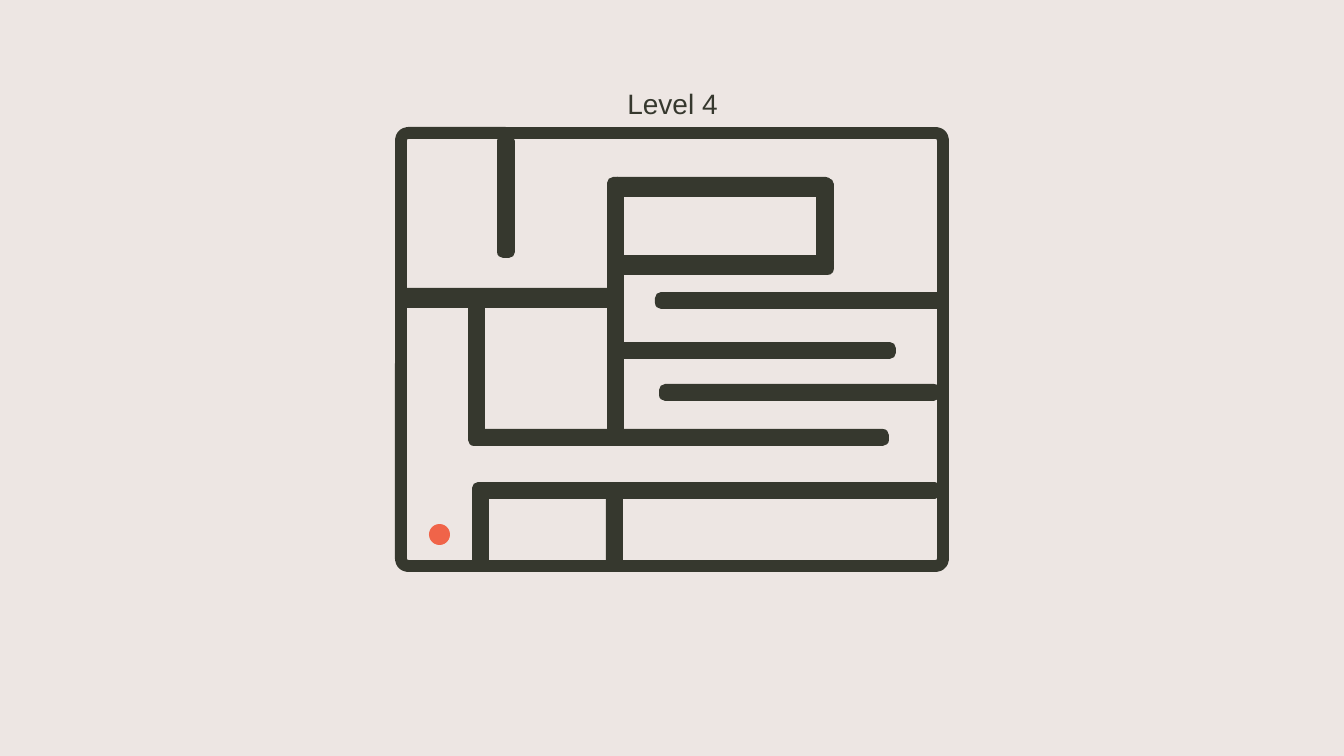
from dataclasses import dataclass

from pptx import Presentation
from pptx.dml.color import RGBColor
from pptx.enum.shapes import MSO_SHAPE
from pptx.enum.text import MSO_ANCHOR, MSO_AUTO_SIZE, PP_ALIGN
from pptx.util import Emu, Inches, Pt

ROUNDED, OVAL = MSO_SHAPE.ROUNDED_RECTANGLE, MSO_SHAPE.OVAL
TOP, CENTER = MSO_ANCHOR.TOP, PP_ALIGN.CENTER
GROW = MSO_AUTO_SIZE.SHAPE_TO_FIT_TEXT
TITLE_ONLY = 5
PX = Inches(1) / 100.8


@dataclass(frozen=True)
class Theme:
    """Colours, font and sizes of the maze."""
    paper: RGBColor = RGBColor.from_string("EDE6E3")
    ink: RGBColor = RGBColor.from_string("36382E")
    ball: RGBColor = RGBColor.from_string("F06449")
    font: str = "Arial"
    title_size: Pt = Pt(20)
    wall_line: Pt = Pt(8.5)
    corner: float = 0.016


class MazeSlide:
    """Draws maze parts on one slide in one style."""

    def __init__(self, deck, theme):
        """Add a slide with a plain background."""
        self.theme = theme
        self.slide = deck.slides.add_slide(deck.slide_layouts[TITLE_ONLY])
        self.slide.background.fill.solid()
        self.slide.background.fill.fore_color.rgb = theme.paper

    def title(self, text, *box):
        """Place and format the title placeholder."""
        holder = self.slide.shapes.title
        holder.left, holder.top, holder.width, holder.height = to_emu(box)
        frame = holder.text_frame
        frame.word_wrap, frame.auto_size = True, GROW
        frame.vertical_anchor = TOP
        paragraph = frame.paragraphs[0]
        paragraph.alignment = CENTER
        run = paragraph.add_run()
        run.text = text
        run.font.name, run.font.size = self.theme.font, self.theme.title_size
        run.font.color.rgb = self.theme.ink

    def wall(self, *box):
        """Outline a slightly rounded box with the thick wall line."""
        wall = self.slide.shapes.add_shape(ROUNDED, *to_emu(box))
        wall.shadow.inherit = False
        wall.adjustments[0] = self.theme.corner
        wall.fill.background()
        wall.line.color.rgb = self.theme.ink
        wall.line.width = self.theme.wall_line

    def ball(self, *box):
        """Draw the filled ball."""
        ball = self.slide.shapes.add_shape(OVAL, *to_emu(box))
        ball.shadow.inherit = False
        ball.fill.solid()
        ball.fill.fore_color.rgb = self.theme.ball
        ball.line.fill.background()


def to_emu(box):
    """Turn pixel lengths into EMU."""
    return [Emu(round(length * PX)) for length in box]


# left, top, length, thickness
HORIZONTAL_WALLS = [
    (407, 294, 209, 8), (617, 183, 209, 8), (619, 261, 209, 8),
    (661, 298, 277, 5), (621, 348, 269, 5), (665, 390, 269, 5),
    (478, 435, 405, 5), (478, 488, 457, 5),
]
VERTICAL_WALLS = [
    (503, 141, 111, 6), (613, 183, 257, 5), (822, 184, 76, 6),
    (612, 491, 75, 5), (474, 306, 134, 5), (478, 490, 75, 5),
]

deck = Presentation()
deck.slide_width, deck.slide_height = to_emu((1344, 756))
maze = MazeSlide(deck, Theme())
maze.title("Level 4", 443, 81, 459, 44)
maze.wall(401, 133, 542, 433)
maze.ball(429, 524, 21, 21)
for left, top, length, thickness in HORIZONTAL_WALLS:
    maze.wall(left, top, length, thickness)
for left, top, length, thickness in VERTICAL_WALLS:
    maze.wall(left, top, thickness, length)
deck.save("out.pptx")
